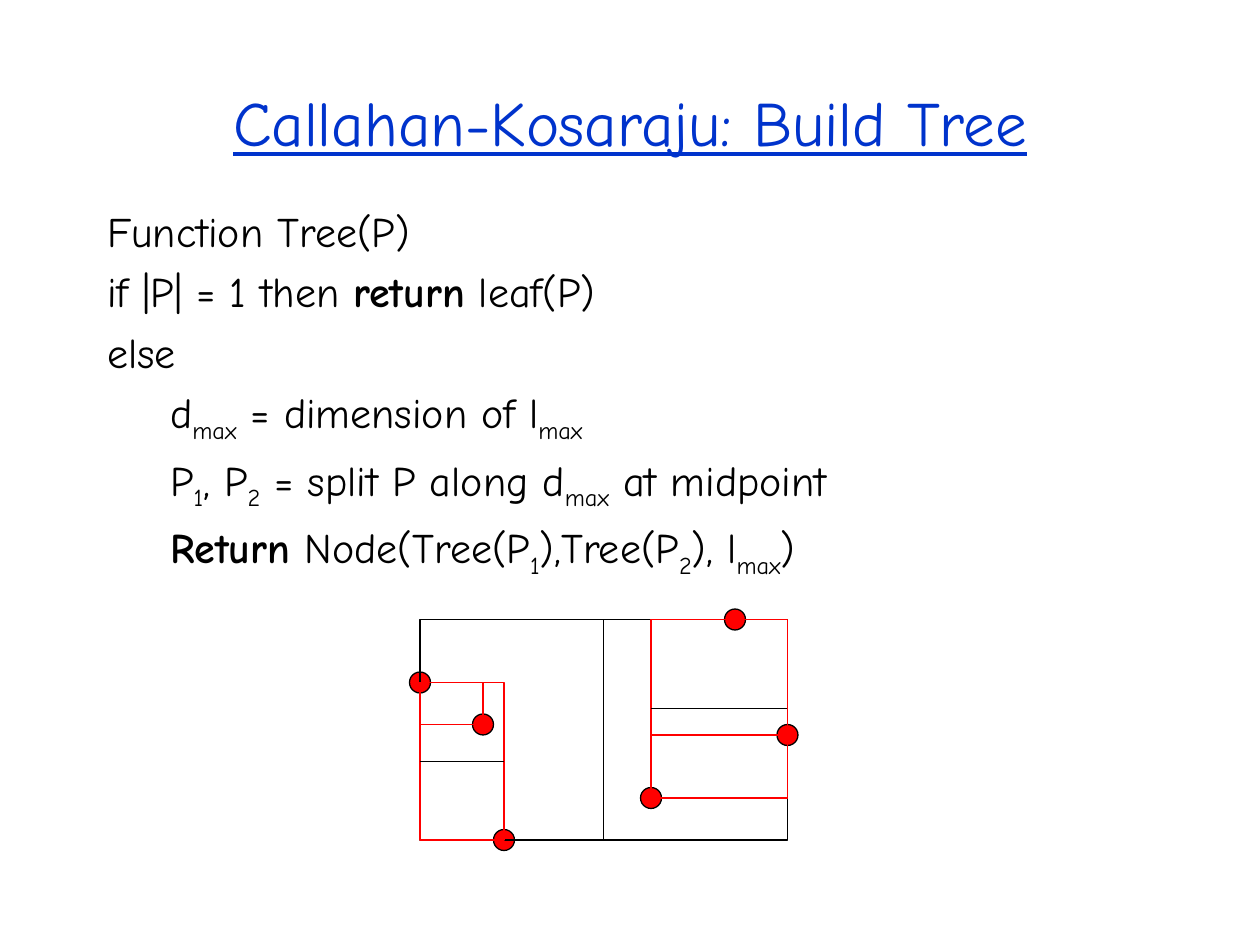
from lxml.etree import SubElement
from pptx import Presentation
from pptx.dml.color import RGBColor
from pptx.enum.shapes import MSO_CONNECTOR as Link, MSO_SHAPE as Kind
from pptx.enum.text import MSO_ANCHOR as Anchor, MSO_AUTO_SIZE as Fit, PP_ALIGN as Align
from pptx.oxml.ns import qn
from pptx.util import Inches, Pt

FONT = "Comic Neue"
BLACK, RED, BLUE = "000000", "FF0000", "0033CC"
UNIT = 1 / 12

TITLE = "Callahan-Kosaraju: Build Tree"
LINES = [
    (0, [("Function Tree(P)", "")]),
    (0, [("if |P| = 1 then ", ""), ("return", "bold"), (" leaf(P)", "")]),
    (0, [("else", "")]),
    (1, [("d", ""), ("max", "sub"), (" = dimension of l", ""), ("max", "sub")]),
    (1, [("P", ""), ("1", "sub"), (", P", ""), ("2", "sub"),
         (" = split P along d", ""), ("max", "sub"), (" at midpoint", "")]),
    (1, [("Return", "bold"), (" Node(Tree(P", ""), ("1", "sub"), ("),Tree(P", ""),
         ("2", "sub"), ("), l", ""), ("max", "sub"), (")", "")]),
]
INDENTS = [(0.38, -0.38), (0.81, -0.31)]

POINTS = [(46, 69), (48, 80), (62, 76), (75, 70), (70, 59), (40, 65)]
SPLITS = [
    ((40, 59, 35, 21), BLACK, (0, 2)),
    ((40, 65, 8, 15), RED, (1, 3)),
    ((62, 59, 13, 17), RED, (1, 3)),
]
CELLS = [(40, 65, 6, 4), (62, 70, 13, 6)]


def color(code):
    return RGBColor.from_string(code)


def place(shape, *box):
    shape.left, shape.top, shape.width, shape.height = map(Inches, box)


def style(font, size, code):
    font.name, font.size = FONT, Pt(size)
    font.color.rgb = color(code)


def stroke(line, code):
    line.color.rgb = color(code)
    line.width = Pt(0.75)


def draw(shapes, kind, box, code, fill=None):
    shape = shapes.add_shape(kind, *(Inches(n * UNIT) for n in box))
    shape.shadow.inherit = False
    if fill:
        shape.fill.solid()
        shape.fill.fore_color.rgb = color(fill)
    else:
        shape.fill.background()
    stroke(shape.line, code)
    return shape


def split(shapes, box, code, sides):
    group = shapes.add_group_shape().shapes
    rect = draw(group, Kind.RECTANGLE, box, code)
    x, y, w, h = box
    if sides == (0, 2):
        ends = (x + w / 2, y, x + w / 2, y + h)
    else:
        ends = (x, y + h / 2, x + w, y + h / 2)
    line = group.add_connector(Link.STRAIGHT, *(Inches(n * UNIT) for n in ends))
    line.begin_connect(rect, sides[0])
    line.end_connect(rect, sides[1])
    stroke(line.line, BLACK)
    SubElement(line._element.spPr, qn("a:effectLst"))


def write(frame):
    for i, (level, runs) in enumerate(LINES):
        para = frame.add_paragraph() if i else frame.paragraphs[0]
        para.level = level
        props = para._p.get_or_add_pPr()
        left, hang = INDENTS[level]
        props.set("marL", str(Inches(left)))
        props.set("indent", str(Inches(hang)))
        SubElement(props, qn("a:buNone"))
        para.space_before = Pt(5.76 if i else 0)
        style(para.font, 24, BLACK)
        for text, look in runs:
            run = para.add_run()
            run.text = text
            if look == "bold":
                run.font.bold = True
            elif look == "sub":
                run.font._element.set("baseline", "-25000")


deck = Presentation()
deck.slide_width, deck.slide_height = Inches(10), Inches(7.5)
slide = deck.slides.add_slide(deck.slide_layouts[1])
shapes = slide.shapes

title = shapes.title
place(title, 0.75, 0.5, 8.5, 0.92)
title.text_frame.text = TITLE
title.text_frame.auto_size = Fit.NONE
title.text_frame.vertical_anchor = Anchor.MIDDLE
head = title.text_frame.paragraphs[0]
head.alignment = Align.CENTER
style(head.font, 36, BLUE)
head.font.underline = True

body = slide.placeholders[1]
place(body, 0.75, 1.58, 8.5, 3.08)
body.text_frame.auto_size = Fit.NONE
write(body.text_frame)

for x, y in POINTS:
    draw(shapes, Kind.OVAL, (x - 1, y - 1, 2, 2), BLACK, RED)
for item in SPLITS:
    split(shapes, *item)
for box in CELLS:
    draw(shapes, Kind.RECTANGLE, box, RED)

deck.save("out.pptx")
